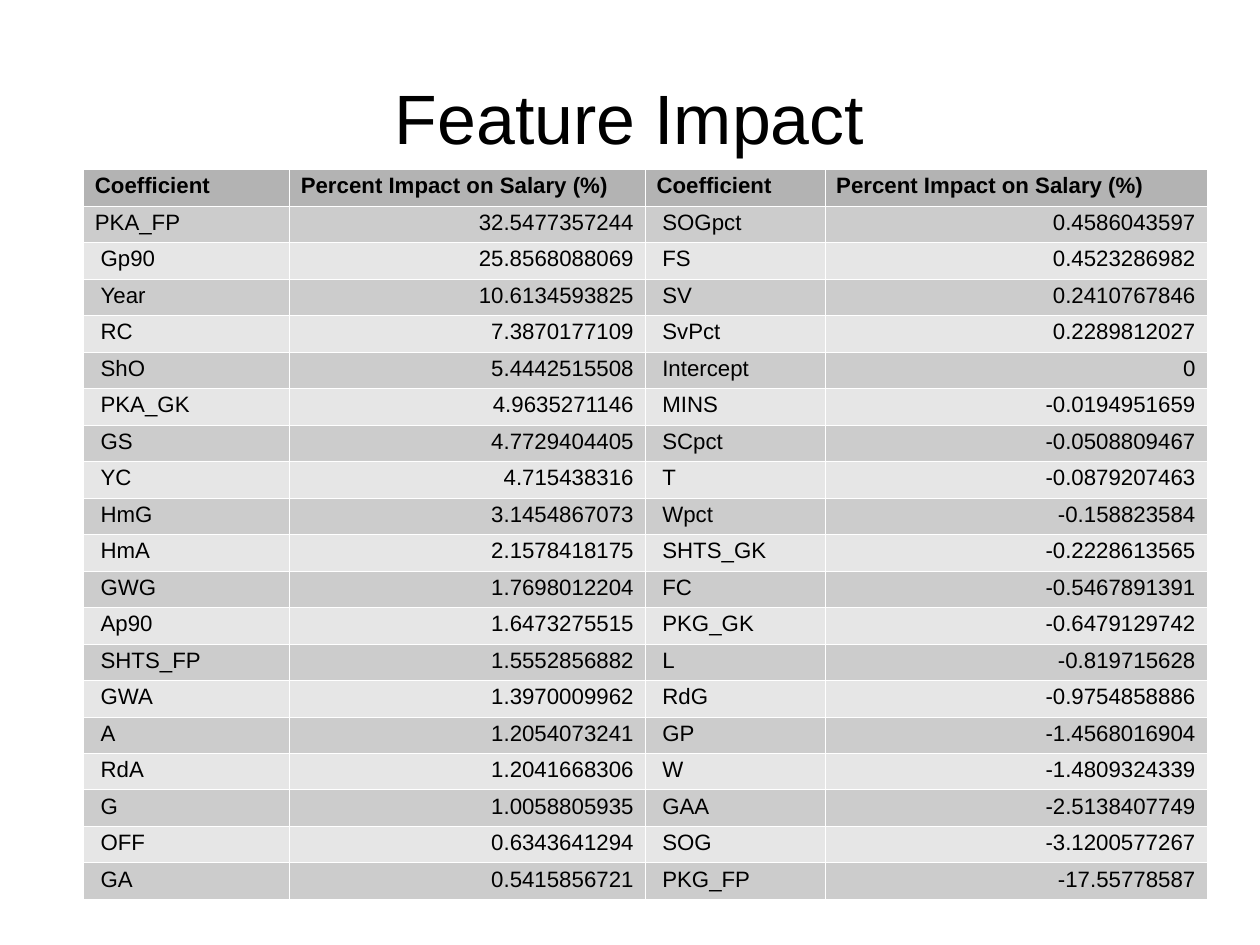
from lxml import etree
from pptx import Presentation
from pptx import util as u
from pptx.dml import color
from pptx.enum import text
from pptx.oxml import ns

FONT = "Arial"
BLACK = "000000"
HEADER_FILL = "B3B3B3"
BAND_FILLS = ("CCCCCC", "E6E6E6")
BORDER = "FFFFFF"
CM_PER_INCH = 2.54
COLUMN_WIDTHS = (1.8, 3.11, 1.57, 3.34)
HEADERS = ("Coefficient", "Percent Impact on Salary (%)") * 2
IMPACTS = [
    ("PKA_FP", "32.5477357244", "SOGpct", "0.4586043597"),
    ("Gp90", "25.8568088069", "FS", "0.4523286982"),
    ("Year", "10.6134593825", "SV", "0.2410767846"),
    ("RC", "7.3870177109", "SvPct", "0.2289812027"),
    ("ShO", "5.4442515508", "Intercept", "0"),
    ("PKA_GK", "4.9635271146", "MINS", "-0.0194951659"),
    ("GS", "4.7729404405", "SCpct", "-0.0508809467"),
    ("YC", "4.715438316", "T", "-0.0879207463"),
    ("HmG", "3.1454867073", "Wpct", "-0.158823584"),
    ("HmA", "2.1578418175", "SHTS_GK", "-0.2228613565"),
    ("GWG", "1.7698012204", "FC", "-0.5467891391"),
    ("Ap90", "1.6473275515", "PKG_GK", "-0.6479129742"),
    ("SHTS_FP", "1.5552856882", "L", "-0.819715628"),
    ("GWA", "1.3970009962", "RdG", "-0.9754858886"),
    ("A", "1.2054073241", "GP", "-1.4568016904"),
    ("RdA", "1.2041668306", "W", "-1.4809324339"),
    ("G", "1.0058805935", "GAA", "-2.5138407749"),
    ("OFF", "0.6343641294", "SOG", "-3.1200577267"),
    ("GA", "0.5415856721", "PKG_FP", "-17.55778587"),
]


def rgb(value):
    return color.RGBColor.from_string(value)


def write(frame, words, size, align, bold=False):
    frame.text = words
    para = frame.paragraphs[0]
    para.alignment = align
    for span in para.runs:
        span.font.name = FONT
        span.font.size = u.Pt(size)
        span.font.bold = bold
        span.font.color.rgb = rgb(BLACK)


def add_title(page, left, top, width, height):
    box = page.shapes.add_textbox(*map(u.Inches, (left, top, width, height)))
    frame = box.text_frame
    frame.word_wrap = True
    frame.vertical_anchor = text.MSO_ANCHOR.MIDDLE
    frame.margin_left = frame.margin_right = 0
    frame.margin_top = frame.margin_bottom = 0
    write(frame, "Feature Impact", 44, text.PP_ALIGN.CENTER)


def add_borders(cell):
    properties = cell._tc.get_or_add_tcPr()
    for side in ("a:lnL", "a:lnR", "a:lnT", "a:lnB"):
        line = etree.SubElement(properties, ns.qn(side), w=str(u.Pt(0.06)))
        fill = etree.SubElement(line, ns.qn("a:solidFill"))
        etree.SubElement(fill, ns.qn("a:srgbClr"), val=BORDER)


def fill_cell(cell, words, fill, align, indent, bold):
    cell.margin_left = u.Inches(indent)
    cell.margin_right = u.Inches(0.1)
    cell.margin_top = cell.margin_bottom = u.Inches(0.04)
    add_borders(cell)
    cell.fill.solid()
    cell.fill.fore_color.rgb = rgb(fill)
    write(cell.text_frame, words, 14, align, bold)


def add_impact_table(page, left, top, width, height):
    rows = [HEADERS] + IMPACTS
    table = page.shapes.add_table(
        len(rows), len(HEADERS), *map(u.Inches, (left, top, width, height))
    ).table
    table.horz_banding = False
    for column, share in zip(table.columns, COLUMN_WIDTHS):
        column.width = u.Inches(width * share / sum(COLUMN_WIDTHS))
    for r, row in enumerate(rows):
        table.rows[r].height = u.Inches(height / len(rows))
        header = r == 0
        fill = HEADER_FILL if header else BAND_FILLS[(r - 1) % 2]
        for c, words in enumerate(row):
            number = c % 2 == 1 and not header
            align = text.PP_ALIGN.RIGHT if number else text.PP_ALIGN.LEFT
            flush = header or number or words == "PKA_FP"
            fill_cell(table.cell(r, c), words, fill, align, 0.1 if flush else 0.15, header)


def main():
    deck = Presentation()
    deck.slide_width = u.Inches(28 / CM_PER_INCH)
    deck.slide_height = u.Inches(21 / CM_PER_INCH)
    page = deck.slides.add_slide(deck.slide_layouts[6])
    add_title(page, 0.55, 0.33, 9.92, 1.38)
    add_impact_table(page, 0.73, 1.48, 9.83, 6.39)
    deck.save("out.pptx")


if __name__ == "__main__":
    main()
